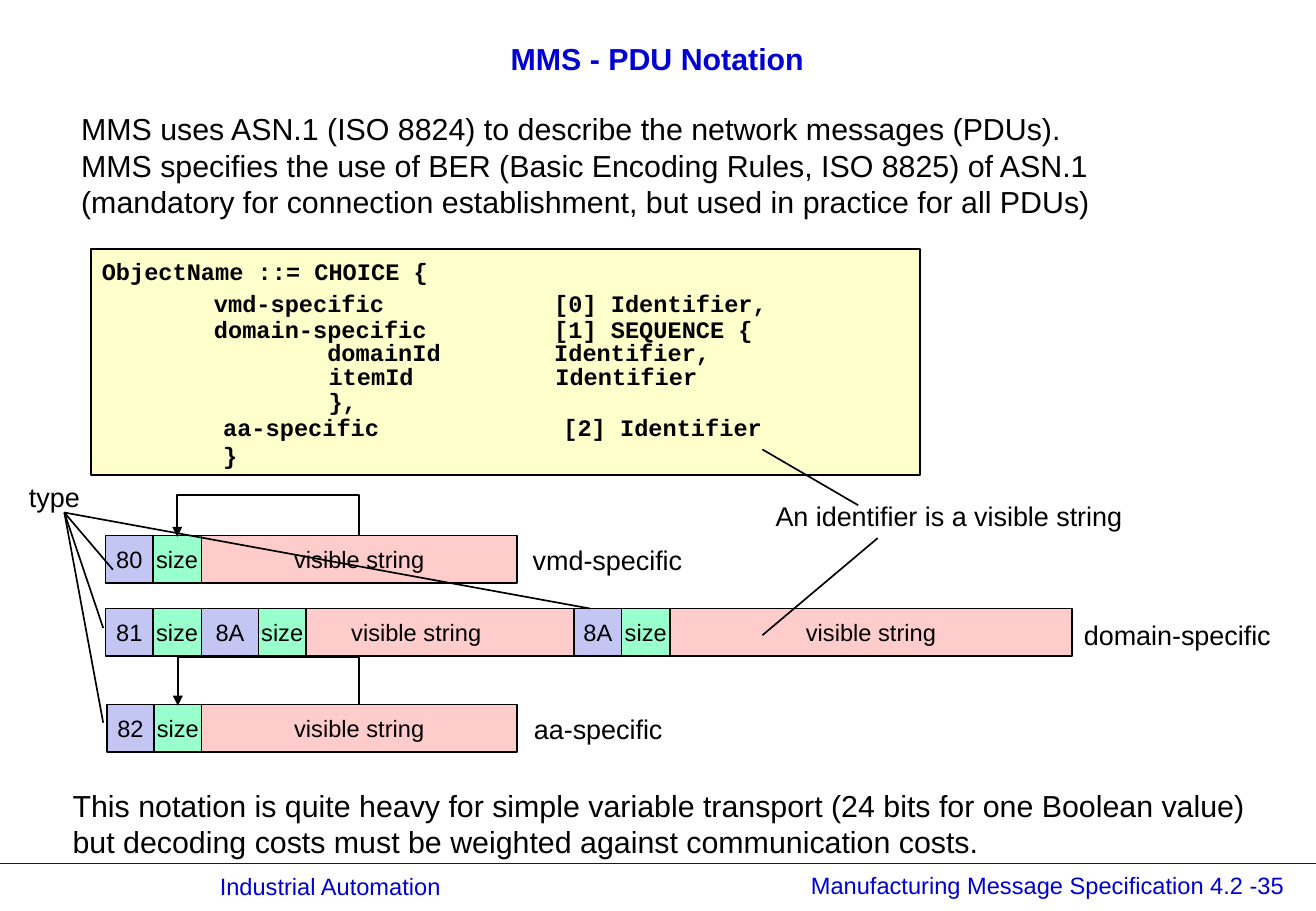
from dataclasses import dataclass
from typing import NamedTuple

from lxml.etree import SubElement
from pptx import Presentation
from pptx.dml.color import RGBColor as RGB
from pptx.enum.shapes import MSO_CONNECTOR as LINK, MSO_SHAPE as SHAPE
from pptx.enum.text import MSO_ANCHOR as ANCHOR, MSO_AUTO_SIZE as FIT, PP_ALIGN as ALIGN
from pptx.oxml.ns import qn
from pptx.shapes.autoshape import Shape
from pptx.shapes.connector import Connector
from pptx.text.text import TextFrame
from pptx.util import Pt

PX = 9144  # 100 px to the inch


@dataclass(frozen=True)
class Theme:
    ink: str = "000000"
    blue: str = "0000D4"
    rule: str = "0000E0"
    code: str = "FFFFCC"
    tag: str = "C3C6F3"
    size: str = "99FFCC"
    value: str = "FFCCCC"
    sans: str = "Arial"
    mono: str = "Courier New"
    large: int = 18
    label: int = 16
    small: int = 14
    stroke: int = 1


class Box(NamedTuple):
    left: int
    top: int
    width: int
    height: int


class Note(NamedTuple):
    box: Box
    text: str
    points: int


class Cell(NamedTuple):
    left: int
    width: int
    fill: str
    text: str


class Line(NamedTuple):
    x1: int
    y1: int
    x2: int
    y2: int


T = Theme()
CELL_H = 39
LABEL_H = 37
CODE_W = 660
CODE_TAB = 100
TYPE_X, TYPE_Y = 53, 422

CODE = (
    (74, 207, "ObjectName ::= CHOICE {"),
    (73, 233, "        vmd-specific            [0] Identifier,"),
    (73, 254, "        domain-specific         [1] SEQUENCE {"),
    (73, 273, "                domainId        Identifier,"),
    (74, 293, "                itemId          Identifier"),
    (74, 314, "                },"),
    (74, 335, "\taa-specific             [2] Identifier\n\t}"),
)

NOTES = (
    Note(Box(57, 86, 851, 100),
         "MMS uses ASN.1 (ISO 8824) to describe the network messages (PDUs).\n"
         "MMS specifies the use of BER (Basic Encoding Rules, ISO 8825) of ASN.1\n"
         "(mandatory for connection establishment, but used in practice for all PDUs)",
         T.large),
    Note(Box(50, 643, 986, 70),
         "This notation is quite heavy for simple variable transport (24 bits for one Boolean value)\n"
         "but decoding costs must be weighted against communication costs.", T.large),
    Note(Box(429, 443, 143, LABEL_H), "vmd-specific", T.label),
    Note(Box(883, 504, 174, LABEL_H), "domain-specific", T.label),
    Note(Box(430, 582, 126, LABEL_H), "aa-specific", T.label),
    Note(Box(629, 406, 306, LABEL_H), "An identifier is a visible string", T.label),
    Note(Box(14, 391, 62, LABEL_H), "type", T.label),
)

FOOT = (
    Note(Box(584, 718, 484, 25), "Manufacturing Message Specification 4.2 -35", T.small),
    Note(Box(21, 717, 352, 28), "Industrial Automation", T.small),
)

VMD = (Cell(87, 39, T.tag, "80"), Cell(126, 40, T.size, "size"),
       Cell(166, 260, T.value, "visible string"))
DOMAIN = (Cell(87, 39, T.tag, "81"), Cell(126, 40, T.size, "size"),
          Cell(166, 47, T.tag, "8A"), Cell(213, 260, T.value, "visible string"),
          Cell(213, 39, T.size, "size"), Cell(473, 39, T.tag, "8A"),
          Cell(512, 40, T.size, "size"), Cell(552, 331, T.value, "visible string"))
AA = (Cell(88, 39, T.tag, "82"), Cell(127, 39, T.size, "size"),
      Cell(166, 260, T.value, "visible string"))

POINTERS = (
    Line(707, 416, 628, 370),
    Line(723, 443, 628, 523),
    *(Line(x, y, TYPE_X, TYPE_Y) for x, y in ((93, 469), (85, 517), (85, 595), (486, 501))),
)

deck = Presentation()
deck.slide_width, deck.slide_height = 1084 * PX, 750 * PX
slide = deck.slides.add_slide(deck.slide_layouts[5])
shapes = slide.shapes


def emu(box: Box) -> list[int]:
    return [side * PX for side in box]


def write(frame: TextFrame, text: str, *, points: int, font: str = T.sans,
          color: str = T.ink, bold: bool = False, align: ALIGN = ALIGN.LEFT,
          anchor: ANCHOR = ANCHOR.TOP, wrap: bool = False,
          fit: FIT = FIT.NONE, space: float = 1.0, tab: int = 0) -> None:
    frame.text = text
    frame.word_wrap, frame.auto_size, frame.vertical_anchor = wrap, fit, anchor
    for para in frame.paragraphs:
        para.alignment, para.line_spacing = align, space
        if tab:
            stops = SubElement(para._p.get_or_add_pPr(), qn("a:tabLst"))
            SubElement(stops, qn("a:tab"), pos=str(tab * PX), algn="l")
        face = para.font
        face.name, face.size, face.bold = font, Pt(points), bold
        face.color.rgb = RGB.from_string(color)


def rect(box: Box, fill: str) -> Shape:
    shape = shapes.add_shape(SHAPE.RECTANGLE, *emu(box))
    shape.shadow.inherit = False
    shape.fill.solid()
    shape.fill.fore_color.rgb = RGB.from_string(fill)
    shape.line.color.rgb = RGB.from_string(T.ink)
    shape.line.width = Pt(T.stroke)
    return shape


def link(kind: LINK, line: Line, color: str = T.ink) -> Connector:
    wire = shapes.add_connector(kind, *(value * PX for value in line))
    wire.line.color.rgb = RGB.from_string(color)
    wire.line.width = Pt(T.stroke)
    SubElement(wire._element.spPr, qn("a:effectLst"))
    return wire


def row(top: int, cells: tuple[Cell, ...]) -> list[Shape]:
    made = []
    for cell in cells:
        shape = rect(Box(cell.left, top, cell.width, CELL_H), cell.fill)
        write(shape.text_frame, cell.text, points=T.small,
              align=ALIGN.CENTER, anchor=ANCHOR.MIDDLE)
        made.append(shape)
    return made


def loop(value: Shape, size: Shape, rise: int) -> None:
    """Arrow that leaves the top of value, runs rise px above and lands on size."""
    start, end = (shape.left + shape.width // 2 for shape in (value, size))
    span, thin = start - end, PX
    wire = link(LINK.ELBOW, Line(0, 0, 1, 1))
    wire.begin_connect(value, 0)
    wire.end_connect(size, 0)
    # A quarter turn makes the narrow box lie along the cell tops.
    wire.left, wire.width = (start + end - thin) // 2, thin
    wire.top, wire.height = value.top + (thin - span) // 2, span
    props = wire._element.spPr
    frame = props.find(qn("a:xfrm"))
    for flip in ("flipH", "flipV"):
        frame.attrib.pop(flip, None)
    frame.set("rot", "5400000")
    guides = props.find(qn("a:prstGeom")).get_or_add_avLst()
    SubElement(guides, qn("a:gd"), name="adj1", fmla=f"val {-rise * PX * 100000 // thin}")
    SubElement(props.find(qn("a:ln")), qn("a:tailEnd"), type="triangle")


def main() -> None:
    title = shapes.title
    title.left, title.top, title.width, title.height = emu(Box(18, 22, 1047, 56))
    write(title.text_frame, "MMS - PDU Notation", points=T.large, color=T.blue, bold=True,
          align=ALIGN.CENTER, anchor=ANCHOR.MIDDLE, wrap=True, space=0.87)

    for note in FOOT:
        write(shapes.add_textbox(*emu(note.box)).text_frame, note.text, points=note.points,
              color=T.blue, align=ALIGN.RIGHT, anchor=ANCHOR.MIDDLE, wrap=True, space=0.87)
    link(LINK.STRAIGHT, Line(0, 711, 1084, 711), T.rule)

    rect(Box(75, 205, 683, 186), T.code)
    for left, top, text in CODE:
        write(shapes.add_textbox(*emu(Box(left, top, CODE_W, 56))).text_frame, text,
              points=T.small, font=T.mono, bold=True, wrap=True, tab=CODE_TAB)
    for note in NOTES:
        write(shapes.add_textbox(*emu(note.box)).text_frame, note.text,
              points=note.points, fit=FIT.SHAPE_TO_FIT_TEXT)

    vmd = row(441, VMD)
    row(501, DOMAIN)
    aa = row(580, AA)
    loop(vmd[2], vmd[1], 34)
    loop(aa[2], aa[1], 40)
    for line in POINTERS:
        link(LINK.STRAIGHT, line)

    deck.save("out.pptx")


if __name__ == "__main__":
    main()
